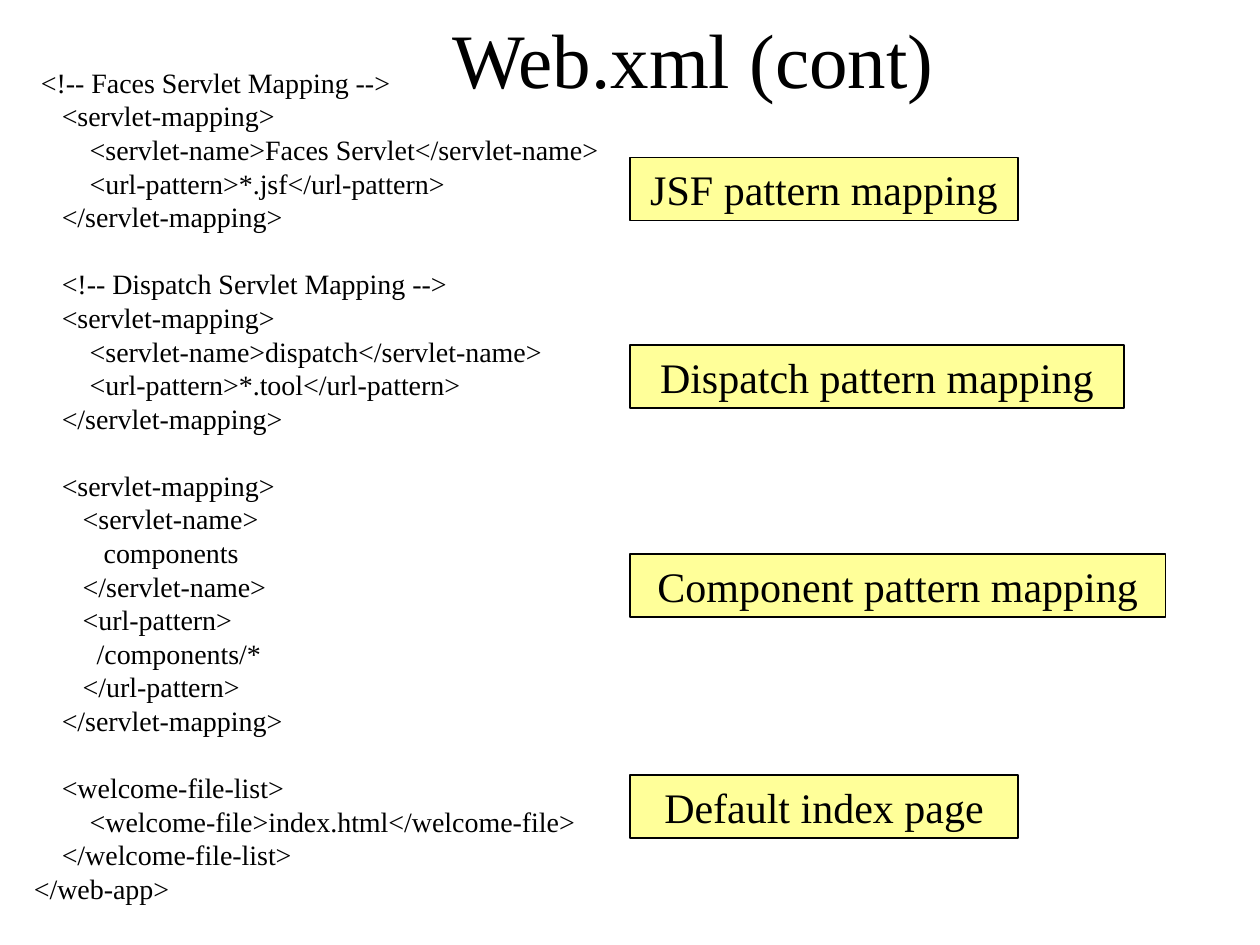
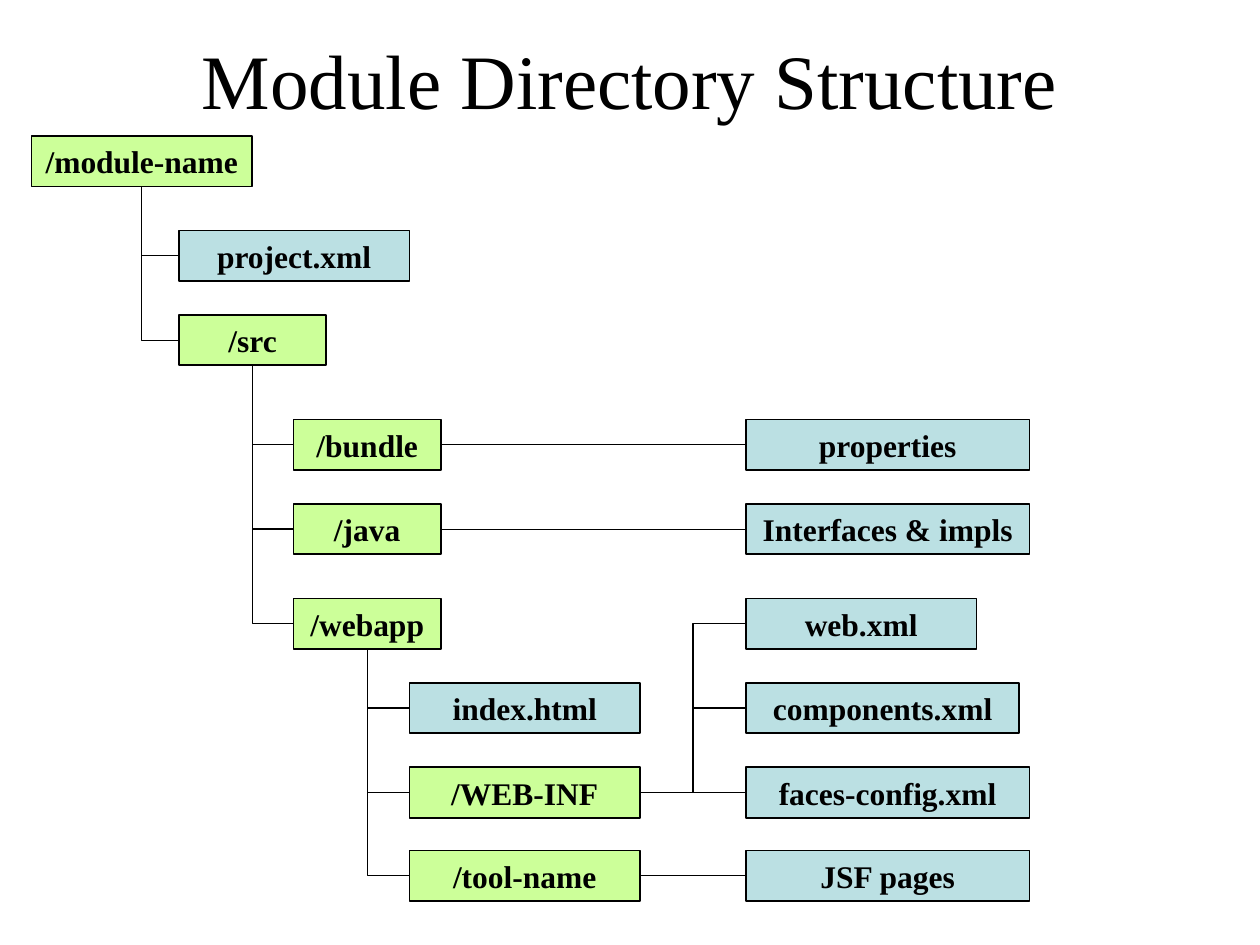
from dataclasses import dataclass

import pptx
import pptx.dml.color
import pptx.enum.shapes
import pptx.enum.text
import pptx.oxml
import pptx.oxml.ns
import pptx.util
from pptx.util import Inches

# Shared style
FONT = "Times New Roman"
BLACK = "000000"
CALLOUT_YELLOW = "FFFF99"
FOLDER_GREEN = "CCFF99"
FILE_BLUE = "BBE0E3"
LINE_SPACING = 1.2
TITLE_ONLY_LAYOUT = 5
TOP, LEFT, BOTTOM, RIGHT = range(4)  # connection sites of a rectangle


@dataclass
class Callout:
    text: str
    top: float
    width: float


@dataclass
class Node:
    text: str
    left: float
    top: float
    width: float
    parent: str = ""
    color: str = FILE_BLUE


# Content of the mapping slide
WEB_XML = """\
 <!-- Faces Servlet Mapping -->
    <servlet-mapping>
        <servlet-name>Faces Servlet</servlet-name>
        <url-pattern>*.jsf</url-pattern>
    </servlet-mapping>

    <!-- Dispatch Servlet Mapping -->
    <servlet-mapping>
        <servlet-name>dispatch</servlet-name>
        <url-pattern>*.tool</url-pattern>
    </servlet-mapping>

    <servlet-mapping>
       <servlet-name>
          components
       </servlet-name>
       <url-pattern>
         /components/*
       </url-pattern>
    </servlet-mapping>

    <welcome-file-list>
        <welcome-file>index.html</welcome-file>
    </welcome-file-list>
</web-app>"""

CALLOUTS = [
    Callout("JSF pattern mapping", 1.25, 3.08),
    Callout("Dispatch pattern mapping", 2.74, 3.92),
    Callout("Component pattern mapping", 4.4, 4.25),
    Callout("Default index page", 6.15, 3.08),
]

# Content of the directory slide: columns, rows and widths of the tree
LEVEL_0, LEVEL_1, LEVEL_2, LEVEL_3, LEVEL_4 = 0.25, 1.42, 2.33, 3.25, 5.92
BUNDLE_ROW, JAVA_ROW, WEBAPP_ROW = 3.33, 4.0, 4.75
INDEX_ROW, WEB_INF_ROW, TOOL_ROW = 5.42, 6.09, 6.75
NARROW, MEDIUM, WIDE = 1.17, 1.83, 2.25
NODE_HEIGHT = 0.4

NODES = [
    Node("/module-name", LEVEL_0, 1.08, 1.75, color=FOLDER_GREEN),
    Node("project.xml", LEVEL_1, 1.83, MEDIUM, "/module-name"),
    Node("/src", LEVEL_1, 2.5, NARROW, "/module-name", FOLDER_GREEN),
    Node("/bundle", LEVEL_2, BUNDLE_ROW, NARROW, "/src", FOLDER_GREEN),
    Node("/java", LEVEL_2, JAVA_ROW, NARROW, "/src", FOLDER_GREEN),
    Node("/webapp", LEVEL_2, WEBAPP_ROW, NARROW, "/src", FOLDER_GREEN),
    Node("index.html", LEVEL_3, INDEX_ROW, MEDIUM, "/webapp"),
    Node("/WEB-INF", LEVEL_3, WEB_INF_ROW, MEDIUM, "/webapp", FOLDER_GREEN),
    Node("/tool-name", LEVEL_3, TOOL_ROW, MEDIUM, "/webapp", FOLDER_GREEN),
    Node("properties", LEVEL_4, BUNDLE_ROW, WIDE, "/bundle"),
    Node("Interfaces & impls", LEVEL_4, JAVA_ROW, WIDE, "/java"),
    Node("web.xml", LEVEL_4, WEBAPP_ROW, MEDIUM, "/WEB-INF"),
    Node("components.xml", LEVEL_4, INDEX_ROW, 2.17, "/WEB-INF"),
    Node("faces-config.xml", LEVEL_4, WEB_INF_ROW, WIDE, "/WEB-INF"),
    Node("JSF pages", LEVEL_4, TOOL_ROW, WIDE, "/tool-name"),
]


# Drawing helpers
def rgb(color: str) -> pptx.dml.color.RGBColor:
    return pptx.dml.color.RGBColor.from_string(color)


def add_run(paragraph, text: str, size: float, bold: bool = False) -> None:
    run = paragraph.add_run()
    run.text = text
    run.font.name = FONT
    run.font.size = pptx.util.Pt(size)
    run.font.bold = bold
    run.font.color.rgb = rgb(BLACK)


def add_titled_slide(presentation, title: str, left: float, top: float):
    slide = presentation.slides.add_slide(presentation.slide_layouts[TITLE_ONLY_LAYOUT])
    shape = slide.shapes.title
    shape.left, shape.top = Inches(left), Inches(top)
    shape.width, shape.height = Inches(8.5), Inches(1.25)
    shape.text_frame.vertical_anchor = pptx.enum.text.MSO_ANCHOR.MIDDLE
    paragraph = shape.text_frame.paragraphs[0]
    paragraph.alignment = pptx.enum.text.PP_ALIGN.CENTER
    add_run(paragraph, title, 44)
    return slide


def add_code(slide, code: str, size: float) -> None:
    box = slide.shapes.add_textbox(Inches(0.17), Inches(0.47), Inches(8.92), Inches(6.77))
    frame = box.text_frame
    frame.word_wrap = True
    line_height = pptx.util.Pt(size * LINE_SPACING)
    paragraph = frame.paragraphs[0]
    for block_number, block in enumerate(code.split("\n\n")):
        for line_number, line in enumerate(block.split("\n")):
            if block_number or line_number:
                paragraph = frame.add_paragraph()
            if block_number and not line_number:
                paragraph.space_before = line_height
            paragraph.line_spacing = line_height
            add_run(paragraph, line, size)


def add_box(slide, text: str, left: float, top: float, width: float, height: float,
            color: str, size: float, bold: bool = False):
    shape = slide.shapes.add_shape(
        pptx.enum.shapes.MSO_SHAPE.RECTANGLE,
        Inches(left), Inches(top), Inches(width), Inches(height))
    shape.shadow.inherit = False
    shape.fill.solid()
    shape.fill.fore_color.rgb = rgb(color)
    shape.line.color.rgb = rgb(BLACK)
    shape.line.width = pptx.util.Pt(1)
    frame = shape.text_frame
    frame.word_wrap = True
    frame.vertical_anchor = pptx.enum.text.MSO_ANCHOR.TOP
    paragraph = frame.paragraphs[0]
    paragraph.alignment = pptx.enum.text.PP_ALIGN.CENTER
    paragraph.line_spacing = pptx.util.Pt(size * LINE_SPACING)
    add_run(paragraph, text, size, bold)
    return shape


def connect(slide, child, parent) -> None:
    """Join a child's left side to the right side or the bottom of its parent."""
    kinds = pptx.enum.shapes.MSO_CONNECTOR
    beside = child.left > parent.left + parent.width
    kind = kinds.STRAIGHT if child.top == parent.top else kinds.ELBOW
    connector = slide.shapes.add_connector(kind, 0, 0, 0, 0)
    connector.begin_connect(child, LEFT)
    connector.end_connect(parent, RIGHT if beside else BOTTOM)
    connector.line.color.rgb = rgb(BLACK)
    connector.line.width = pptx.util.Pt(0.75)
    properties = connector.element.spPr
    if not beside:  # one corner below the parent
        properties.find(pptx.oxml.ns.qn("a:prstGeom")).set("prst", "bentConnector2")
    properties.append(pptx.oxml.parse_xml(
        f"<a:effectLst {pptx.oxml.ns.nsdecls('a')}/>"))


# Slides
def build_mapping_slide(presentation) -> None:
    slide = add_titled_slide(presentation, "Web.xml (cont)", 1.25, -0.17)
    add_code(slide, WEB_XML, 16)
    for callout in CALLOUTS:
        add_box(slide, callout.text, 5, callout.top, callout.width, 0.5, CALLOUT_YELLOW, 24)


def build_directory_slide(presentation) -> None:
    slide = add_titled_slide(presentation, "Module Directory Structure", 0.75, 0)
    boxes = {
        node.text: add_box(slide, node.text, node.left, node.top, node.width,
                           NODE_HEIGHT, node.color, 18, bold=True)
        for node in NODES
    }
    for node in NODES:
        if node.parent:
            connect(slide, boxes[node.text], boxes[node.parent])


def main() -> None:
    presentation = pptx.Presentation()
    presentation.slide_width = Inches(10)
    presentation.slide_height = Inches(7.5)
    build_mapping_slide(presentation)
    build_directory_slide(presentation)
    presentation.save("out.pptx")


if __name__ == "__main__":
    main()
